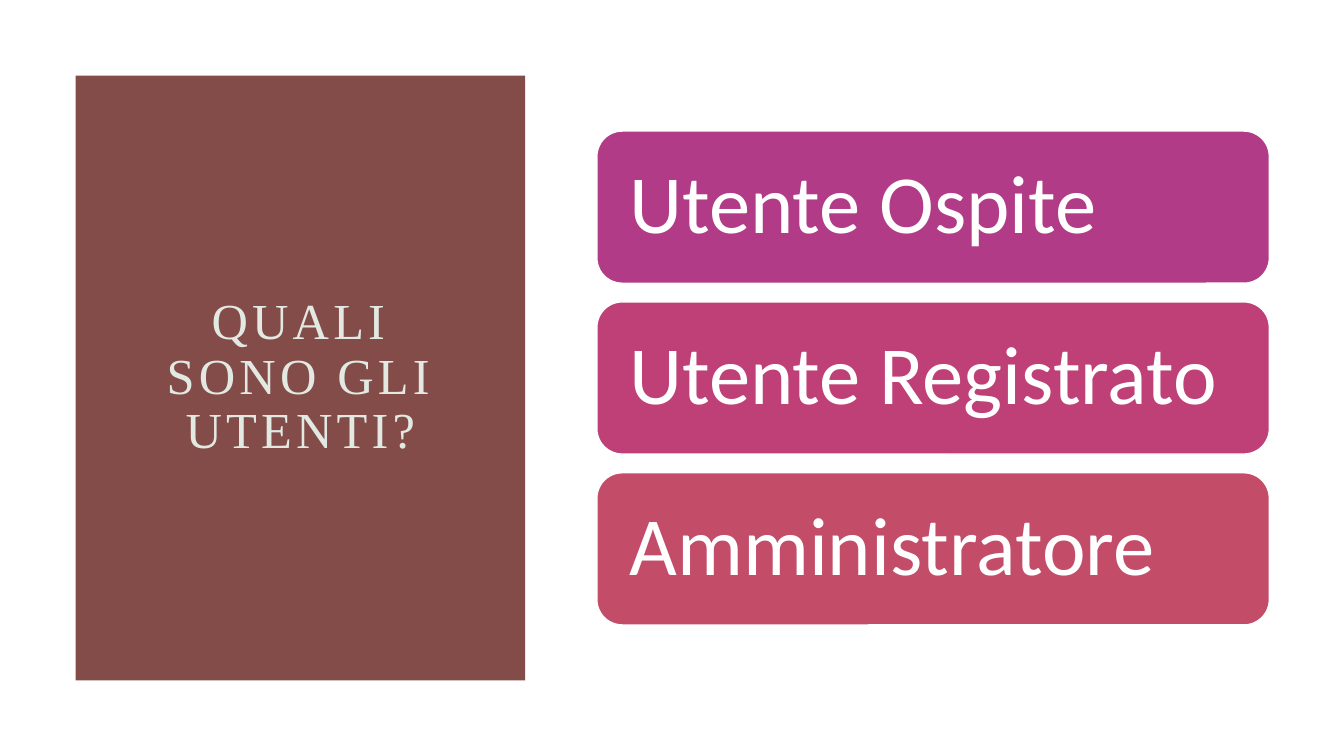
from pptx import Presentation
from pptx.dml.color import RGBColor
from pptx.enum.shapes import MSO_SHAPE
from pptx.enum.text import MSO_ANCHOR, MSO_AUTO_SIZE, PP_ALIGN
from pptx.util import Inches, Pt

WHITE = RGBColor(0xFF, 0xFF, 0xFF)
BROWN = RGBColor(0x83, 0x4C, 0x48)
PALE_GREEN = RGBColor(0xE2, 0xE8, 0xE2)
PURPLE = RGBColor(0xB1, 0x3B, 0x87)
MAGENTA = RGBColor(0xBE, 0x40, 0x77)
CORAL = RGBColor(0xC3, 0x4D, 0x68)

USERS = [
    ("Utente Ospite", PURPLE),
    ("Utente Registrato", MAGENTA),
    ("Amministratore", CORAL),
]
LIST_LEFT, LIST_TOP, LIST_WIDTH, LIST_HEIGHT = 5.92, 1.3, 6.67, 4.9
CARD_HEIGHT = 1.51
CARD_STEP = (LIST_HEIGHT - CARD_HEIGHT) / (len(USERS) - 1)
MARGIN = 0.75


def write(frame, text, font_format, paragraph_format):
    """Fill the frame with one formatted, vertically centred paragraph."""
    frame.word_wrap = True
    frame.auto_size = MSO_AUTO_SIZE.NONE
    frame.vertical_anchor = MSO_ANCHOR.MIDDLE
    paragraph = frame.paragraphs[0]
    for name, value in paragraph_format.items():
        setattr(paragraph, name, value)
    run = paragraph.add_run()
    run.text = text
    for name, value in font_format.items():
        if name == "color":
            run.font.color.rgb = value
        else:
            setattr(run.font, name, value)
    return run


def add_filled(shape_type, left, top, width, height, color):
    shape = slide.shapes.add_shape(
        shape_type, Inches(left), Inches(top), Inches(width), Inches(height))
    shape.shadow.inherit = False
    shape.fill.solid()
    shape.fill.fore_color.rgb = color
    shape.line.fill.background()
    return shape


prs = Presentation()
prs.slide_width, prs.slide_height = Inches(13.33), Inches(7.5)
slide = prs.slides.add_slide(prs.slide_layouts[5])

# Panel behind the title
panel = add_filled(MSO_SHAPE.RECTANGLE, MARGIN, MARGIN, 4.46, 7.5 - 2 * MARGIN, BROWN)
title = slide.shapes.title
title._element.addprevious(panel._element)

title.left, title.top = Inches(2 * MARGIN), Inches(2 * MARGIN)
title.width, title.height = Inches(2.96), Inches(7.5 - 4 * MARGIN)
question = write(
    title.text_frame, "QUALI SONO GLI UTENTI?",
    {"name": "Times New Roman", "size": Pt(36), "color": PALE_GREEN},
    {"alignment": PP_ALIGN.CENTER, "line_spacing": 0.9})
question.font._element.set("spc", "300")

# One card for each kind of user
for row, (user, color) in enumerate(USERS):
    card = add_filled(MSO_SHAPE.ROUNDED_RECTANGLE, LIST_LEFT,
                      LIST_TOP + row * CARD_STEP, LIST_WIDTH, CARD_HEIGHT, color)
    card.line.color.rgb = WHITE
    card.line.width = Pt(1)
    for side in ("left", "top", "right", "bottom"):
        setattr(card.text_frame, f"margin_{side}", Inches(0.25))
    write(card.text_frame, user,
          {"name": "Calibri", "size": Pt(59), "color": WHITE},
          {"alignment": PP_ALIGN.LEFT, "line_spacing": 0.9})

prs.save("out.pptx")
